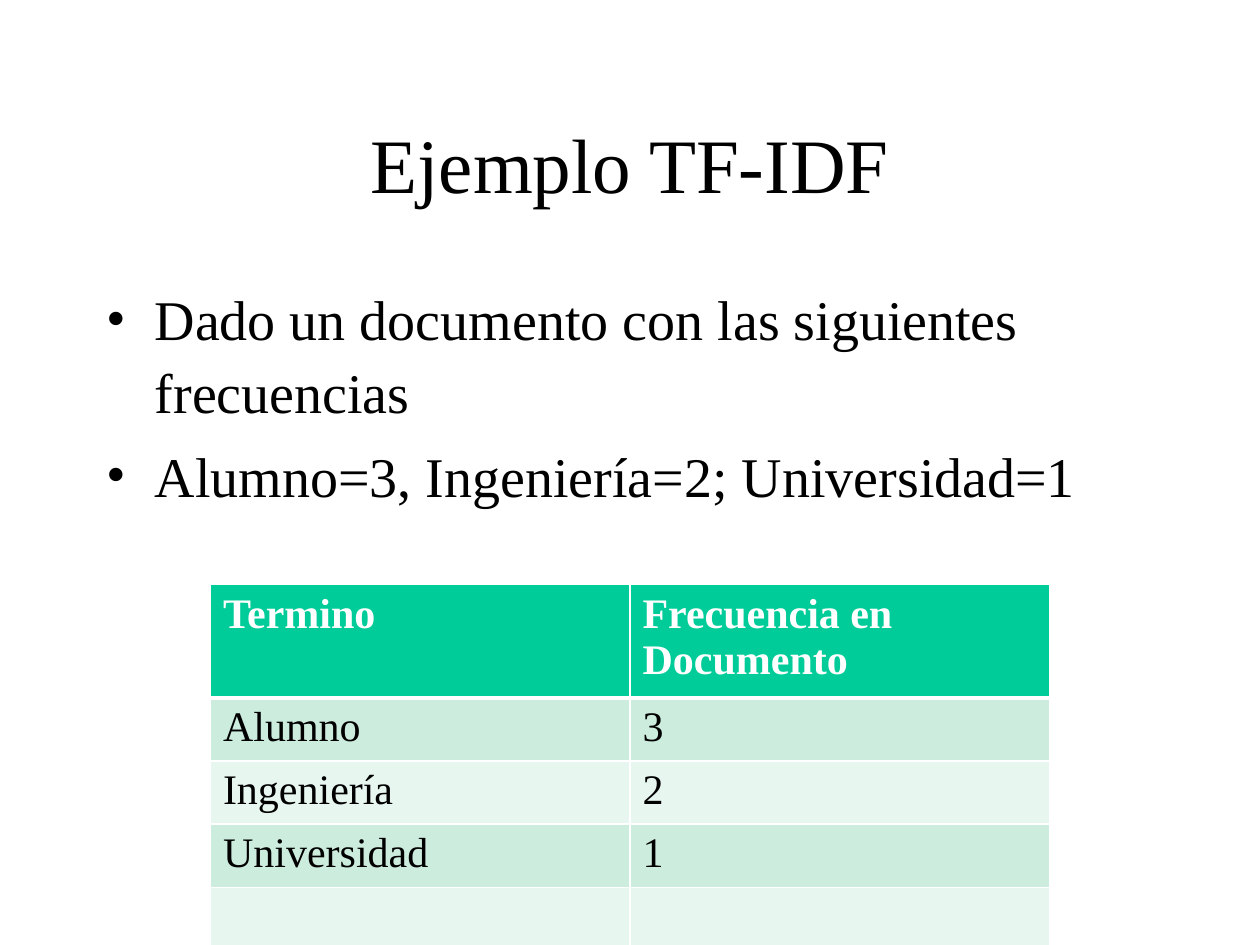
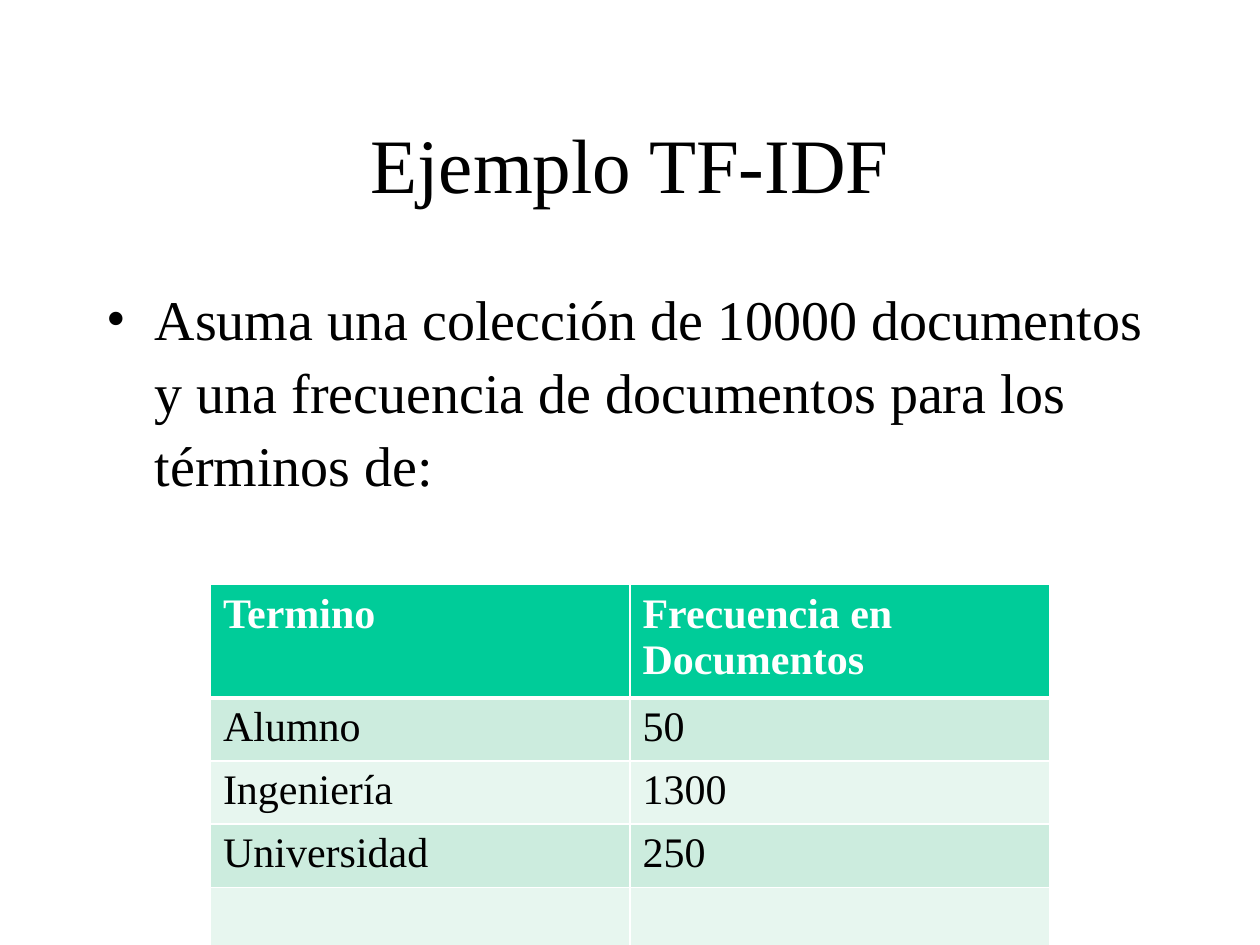
from dataclasses import dataclass

from lxml import etree
from pptx import Presentation
from pptx.dml.color import RGBColor
from pptx.enum.text import MSO_ANCHOR, MSO_AUTO_SIZE, PP_ALIGN
from pptx.oxml.ns import qn
from pptx.util import Inches, Pt

LEFT, CENTER = PP_ALIGN.LEFT, PP_ALIGN.CENTER
TOP, MIDDLE = MSO_ANCHOR.TOP, MSO_ANCHOR.MIDDLE
NO_FIT = MSO_AUTO_SIZE.NONE
TITLE_ONLY = 5


@dataclass(frozen=True)
class Theme:
    font: str = "Times New Roman"
    text: str = "000000"
    white: str = "FFFFFF"
    header: str = "00CC99"
    bands: tuple[str, str] = ("CCECDE", "E7F6EF")
    title_size: int = 44
    body_size: int = 32
    table_size: int = 24
    line: int = 1
    header_line: int = 3


@dataclass(frozen=True)
class ExampleSlide:
    bullets: list[str]
    count_header: str
    counts: list[str]


THEME = Theme()
TITLE = "Ejemplo TF-IDF"
TERMS = ["Alumno", "Ingeniería", "Universidad"]
SLIDES = [
    ExampleSlide(
        ["Dado un documento con las siguientes frecuencias",
         "Alumno=3, Ingeniería=2; Universidad=1"],
        "Frecuencia en Documento", ["3", "2", "1"]),
    ExampleSlide(
        ["Asuma una colección de 10000 documentos y una frecuencia "
         "de documentos para los términos de:"],
        "Frecuencia en Documentos", ["50", "1300", "250"]),
]


def write(p, text: str, *, size: int, color: str = THEME.text,
          bold: bool = False, align=LEFT) -> None:
    p.alignment = align
    r = p.add_run()
    r.text = text
    r.font.name = THEME.font
    r.font.size = Pt(size)
    r.font.bold = bold
    r.font.color.rgb = RGBColor.from_string(color)


def set_bullet(p) -> None:
    pPr = p._p.get_or_add_pPr()
    pPr.set("marL", str(Inches(0.38)))
    pPr.set("indent", str(-Inches(0.38)))
    etree.SubElement(pPr, qn("a:buFont"), typeface=THEME.font)
    etree.SubElement(pPr, qn("a:buChar"), char="•")


def set_borders(cell, top: int, bottom: int) -> None:
    tcPr = cell._tc.get_or_add_tcPr()
    widths = {"lnL": THEME.line, "lnR": THEME.line, "lnT": top, "lnB": bottom}
    for tag, width in widths.items():
        ln = etree.SubElement(tcPr, qn(f"a:{tag}"), w=str(Pt(width)))
        fill = etree.SubElement(ln, qn("a:solidFill"))
        etree.SubElement(fill, qn("a:srgbClr"), val=THEME.white)


def add_title(s, text: str) -> None:
    sp = s.shapes.title
    sp.left, sp.top = Inches(0.75), Inches(0.67)
    sp.width, sp.height = Inches(8.5), Inches(1.25)
    tf = sp.text_frame
    tf.auto_size = NO_FIT
    tf.vertical_anchor = MIDDLE
    write(tf.paragraphs[0], text, size=THEME.title_size, align=CENTER)


def add_bullets(s, bullets: list[str]) -> None:
    sp = s.shapes.add_textbox(Inches(0.75), Inches(2.17), Inches(8.5), Inches(4.5))
    tf = sp.text_frame
    tf.word_wrap = True
    tf.vertical_anchor = TOP
    for i, text in enumerate(bullets):
        p = tf.add_paragraph() if i else tf.paragraphs[0]
        set_bullet(p)
        p.line_spacing = 1.08
        if i:
            p.space_before = Pt(0.2 * THEME.body_size)
        write(p, text, size=THEME.body_size)


def add_frequencies(s, count_header: str, counts: list[str]) -> None:
    # The last row stays empty
    rows = [("Termino", count_header), *zip(TERMS, counts), ("", "")]
    heights = [0.83] + [0.47] * (len(rows) - 1)
    table = s.shapes.add_table(len(rows), 2, Inches(1.67), Inches(4.64),
                               Inches(6.66), Inches(sum(heights))).table
    table.horz_banding = False
    for i, (row, height) in enumerate(zip(rows, heights)):
        table.rows[i].height = Inches(height)
        header = i == 0
        fill = THEME.header if header else THEME.bands[(i - 1) % 2]
        for j, text in enumerate(row):
            cell = table.cell(i, j)
            set_borders(cell,
                        top=THEME.header_line if i == 1 else THEME.line,
                        bottom=THEME.header_line if header else THEME.line)
            cell.fill.solid()
            cell.fill.fore_color.rgb = RGBColor.from_string(fill)
            if text:
                write(cell.text_frame.paragraphs[0], text, size=THEME.table_size,
                      color=THEME.white if header else THEME.text, bold=header)


def main() -> None:
    prs = Presentation()
    prs.slide_width, prs.slide_height = Inches(10), Inches(7.5)
    for example in SLIDES:
        s = prs.slides.add_slide(prs.slide_layouts[TITLE_ONLY])
        add_title(s, TITLE)
        add_bullets(s, example.bullets)
        add_frequencies(s, example.count_header, example.counts)
    prs.save("out.pptx")


if __name__ == "__main__":
    main()
